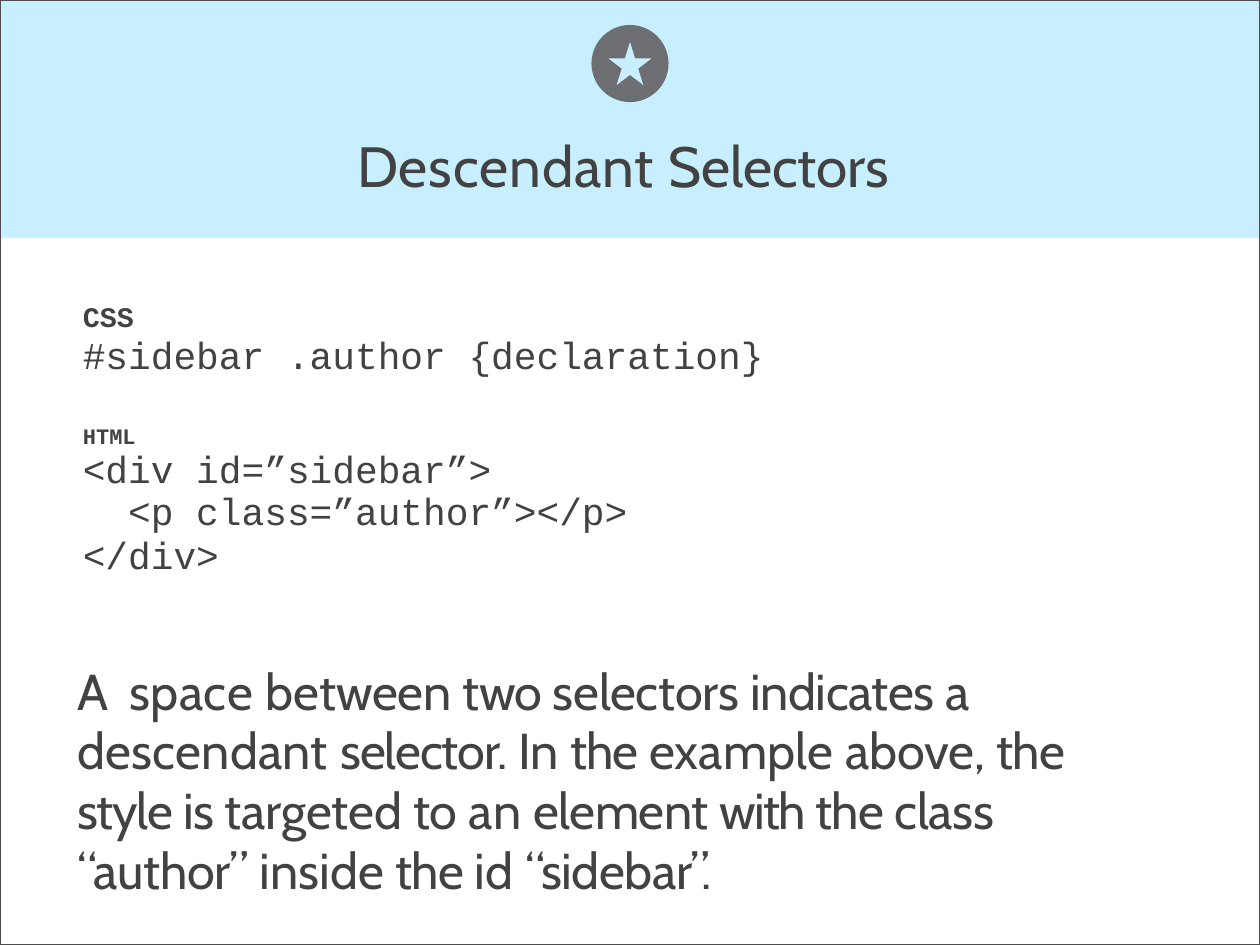
"""Build the Descendant Selectors slide."""
from pptx import Presentation
from pptx.dml.color import RGBColor
from pptx.enum.shapes import MSO_SHAPE as Shape
from pptx.enum.text import MSO_ANCHOR as Anchor, MSO_AUTO_SIZE as AutoSize, PP_ALIGN as Align
from pptx.util import Inches, Pt

WIDTH, HEIGHT = 11.11, 8.33
MARGIN = 0.73
TEXT, SKY, GREY, FRAME = "424242", "C8EFFF", "6D6E71", "4C4C4C"
SANS, MONO = "Cabin", "Courier New"

TITLE = [("Descendant ", 0.6), ("Selectors", -0.1)]
CSS = [
    ([("CSS", 0)], 18, True, 20.8),
    ([("#sidebar .author {declaration}", 0)], 24, False, 28),
]
HTML = [
    ([("HTML", 0)], 14, True, 16.4),
    ([("<div id=”sidebar”>", 0)], 24, False, 27),
    ([("  <p class=”author”></p>", 0)], 24, False, 26.5),
    ([("</div>", 0)], 24, False, 27.9),
]
EXPLANATION = [
    ("A ", 3), ("space ", 0.4), ("between ", -0.1), ("two ", -0.5),
    ("selectors ", -0.2), ("indicates ", -0.3), ("a ", -0.2),
    ("descendant ", 0.2), ("selector. ", -0.7), ("In ", -0.1), ("the ", -0.5),
    ("example ", 0.1), ("above, ", -0.1), ("the ", -0.5), ("style ", -0.8),
    ("is ", -0.4), ("targeted to ", -0.1), ("an ", 0.1), ("element ", -0.3),
    ("with ", -1.1), ("the ", -0.5), ("class “author” ", -0.2), ("inside ", 0),
    ("the ", -0.5), ("id ", 0.1), ("“sidebar”.", -0.3),
]
BLOCKS = [
    (MARGIN, 2.65, 0.69, MONO, CSS),
    (MARGIN, 3.73, 1.36, MONO, HTML),
    (MARGIN - 0.05, 5.82, 2.11, SANS, [(EXPLANATION, 32, False, 38)]),
]


def color(code):
    return RGBColor.from_string(code)


def place(item, left, top, width, height):
    item.left, item.top = Inches(left), Inches(top)
    item.width, item.height = Inches(width), Inches(height)


def add_panel(page, kind, left, top, width, height, fill=None, line=None):
    panel = page.shapes.add_shape(kind, 0, 0, 0, 0)
    place(panel, left, top, width, height)
    panel.shadow.inherit = False
    if fill:
        panel.fill.solid()
        panel.fill.fore_color.rgb = color(fill)
    else:
        panel.fill.background()
    if line:
        panel.line.color.rgb = color(line)
        panel.line.width = Pt(1)
    else:
        panel.line.fill.background()
    return panel


def write(box, font, lines):
    frame = box.text_frame
    frame.word_wrap = True
    frame.auto_size = AutoSize.NONE
    frame.vertical_anchor = Anchor.TOP
    frame.margin_left = frame.margin_top = frame.margin_right = frame.margin_bottom = 0
    for index, (spans, size, bold, leading) in enumerate(lines):
        para = frame.add_paragraph() if index else frame.paragraphs[0]
        para.alignment = Align.LEFT
        if leading:
            para.line_spacing = Pt(leading)
        for text, tracking in spans:
            span = para.add_run()
            span.text = text
            span.font.name = font
            span.font.size = Pt(size)
            span.font.bold = bold
            span.font.color.rgb = color(TEXT)
            span.font._element.set("spc", str(round(tracking * 100)))


def add_star_badge(page, center, middle, badge, star):
    for kind, size, fill in ((Shape.OVAL, badge, GREY), (Shape.STAR_5_POINT, star, SKY)):
        add_panel(page, kind, center - size / 2, middle - size / 2, size, size, fill)


def main():
    deck = Presentation()
    deck.slide_width, deck.slide_height = Inches(WIDTH), Inches(HEIGHT)
    page = deck.slides.add_slide(deck.slide_layouts[5])

    banner = add_panel(page, Shape.RECTANGLE, 0, 0, WIDTH, 2.1, SKY)
    title = page.shapes.title
    title._element.addprevious(banner._element)
    place(title, 3.15, 1.15, 4.86, 0.63)
    write(title, SANS, [(TITLE, 36, False, None)])

    add_star_badge(page, WIDTH / 2, 0.56, 0.68, 0.38)
    for left, top, height, font, lines in BLOCKS:
        box = page.shapes.add_textbox(0, 0, 0, 0)
        place(box, left, top, 9.38, height)
        write(box, font, lines)
    add_panel(page, Shape.RECTANGLE, 0, 0, WIDTH, HEIGHT, line=FRAME)
    deck.save("out.pptx")


if __name__ == "__main__":
    main()
